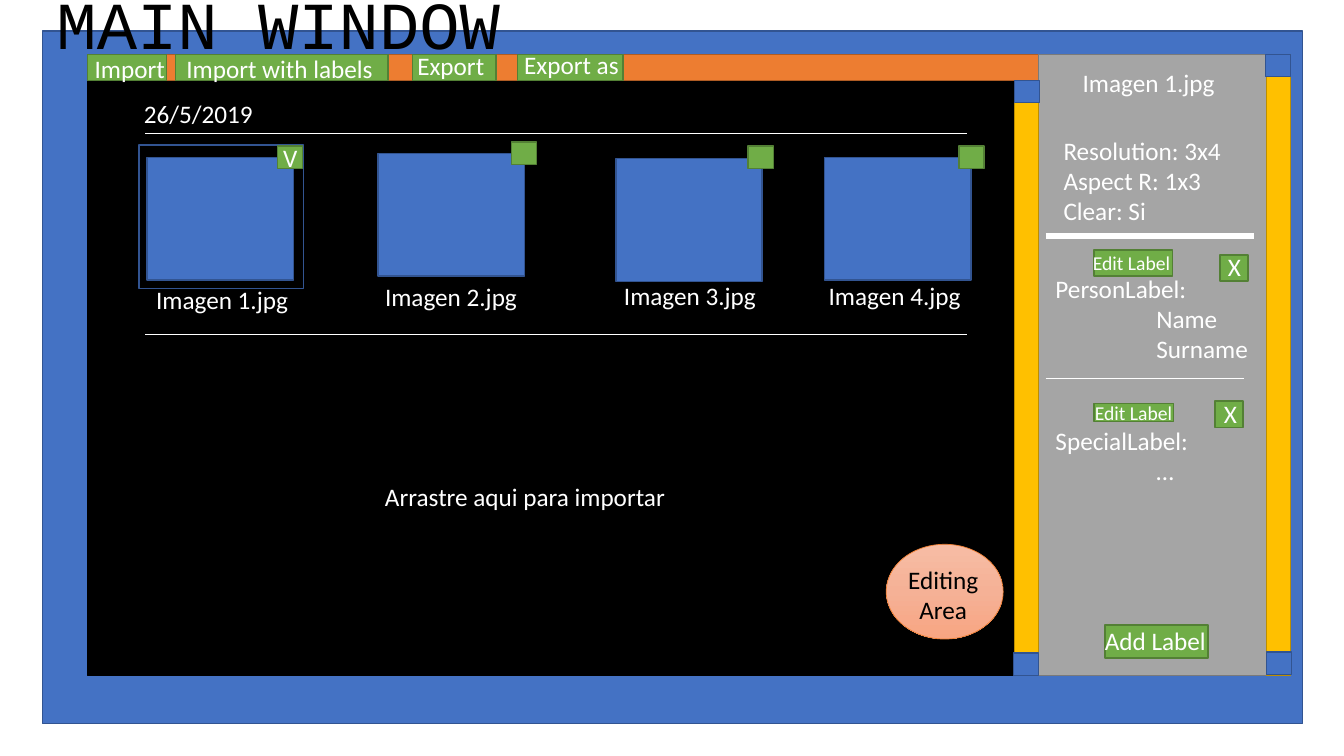
from copy import deepcopy
from dataclasses import dataclass

from lxml import etree
from pptx import Presentation, util as u
from pptx.dml.color import RGBColor
from pptx.enum import shapes, text
from pptx.oxml.ns import qn

PX = 9144  # EMU per px, 100 px to the inch


@dataclass(frozen=True)
class Tone:
    fill: str | None
    edge: str


@dataclass(frozen=True)
class Theme:
    blue: Tone = Tone("4472C4", "325491")
    black: Tone = Tone("000000", "000000")
    orange: Tone = Tone("ED7D31", "AF5C24")
    green: Tone = Tone("70AD47", "538035")
    grey: Tone = Tone("A5A5A5", "7A7A7A")
    yellow: Tone = Tone("FFC000", "BD8E00")
    selection: Tone = Tone(None, "325491")
    light: str = "FFFFFF"
    dark: str = "000000"
    bubble_edge: str = "ED7D31"
    bubble_stops: tuple = ((0, "F7BDA5"), (0.5, "F5B196"), (1, "F8A582"))
    body_font: str = "Calibri"
    title_font: str = "Courier New"
    title_size: int = 48
    body_size: int = 18
    small_size: int = 14


@dataclass(frozen=True)
class Box:
    left: int
    top: int
    width: int
    height: int

    def emu(self) -> list[int]:
        return [n * PX for n in (self.left, self.top, self.width, self.height)]


@dataclass(frozen=True)
class Line:
    words: str
    indent: int = 0
    before: int = 0


@dataclass(frozen=True)
class Button:
    words: str
    box: Box
    words_box: Box
    size: int = Theme.body_size


@dataclass(frozen=True)
class Photo:
    box: Box
    caption: str
    caption_box: Box
    tick: tuple[int, int]


THEME = Theme()
deck = Presentation()
deck.slide_width, deck.slide_height = 1333 * PX, 750 * PX
slide = deck.slides.add_slide(deck.slide_layouts[5])


def rgb(colour: str) -> RGBColor:
    return RGBColor.from_string(colour)


def add_block(box: Box, tone: Tone) -> None:
    block = slide.shapes.add_shape(shapes.MSO_SHAPE.RECTANGLE, *box.emu())
    block.shadow.inherit = False
    if tone.fill:
        block.fill.solid()
        block.fill.fore_color.rgb = rgb(tone.fill)
    else:
        block.fill.background()
    block.line.color.rgb = rgb(tone.edge)
    block.line.width = u.Pt(1)


def write(frame, lines: list[Line], size: int, colour: str, font: str, align) -> None:
    frame.word_wrap = True
    frame.auto_size = text.MSO_AUTO_SIZE.SHAPE_TO_FIT_TEXT
    frame.vertical_anchor = text.MSO_ANCHOR.TOP
    for i, line in enumerate(lines):
        para = frame.add_paragraph() if i else frame.paragraphs[0]
        para.alignment = align
        if line.indent:
            para._p.get_or_add_pPr().set("marL", str(line.indent * PX))
        if line.before:
            para.space_before = u.Pt(line.before)
        run = para.add_run()
        run.text = line.words
        run.font.name = font
        run.font.size = u.Pt(size)
        run.font.color.rgb = rgb(colour)


def add_words(box: Box, *lines: Line, size: int = THEME.body_size,
              colour: str = THEME.light, align=text.PP_ALIGN.LEFT) -> None:
    frame = slide.shapes.add_textbox(*box.emu()).text_frame
    write(frame, list(lines), size, colour, THEME.body_font, align)


def add_rule(left: int, right: int, y: int, weight: float = 0.5) -> None:
    rule = slide.shapes.add_connector(
        shapes.MSO_CONNECTOR.STRAIGHT, left * PX, y * PX, right * PX, y * PX)
    rule.line.color.rgb = rgb(THEME.light)
    rule.line.width = u.Pt(weight)
    etree.SubElement(rule._element.spPr, qn("a:effectLst"))


def add_button(button: Button) -> None:
    add_block(button.box, THEME.green)
    add_words(button.words_box, Line(button.words), size=button.size)


# Window, canvas, toolbar and side panel
add_block(Box(42, 31, 1250, 687), THEME.blue)
add_block(Box(87, 80, 943, 590), THEME.black)
add_block(Box(87, 54, 943, 26), THEME.orange)
add_block(Box(1030, 54, 227, 616), THEME.grey)

# Scroll bars with their end buttons
for track, ends in (
    (Box(1256, 54, 24, 616), ((1255, 54), (1256, 647))),
    (Box(1006, 80, 24, 590), ((1006, 80), (1005, 648))),
):
    add_block(track, THEME.yellow)
    for left, top in ends:
        add_block(Box(left, top, 25, 22), THEME.blue)

# Photo group: date, rules, thumbnails and tick boxes
add_words(Box(133, 93, 317, 40), Line("26/5/2019"))
for y in (132, 332):
    add_rule(144, 959, y)
PHOTOS = (
    Photo(Box(146, 156, 145, 122), "Imagen 1.jpg", Box(145, 277, 152, 40), (275, 145)),
    Photo(Box(375, 152, 145, 122), "Imagen 2.jpg", Box(372, 274, 155, 40), (507, 141)),
    Photo(Box(611, 157, 145, 122), "Imagen 3.jpg", Box(609, 273, 158, 40), (742, 145)),
    Photo(Box(818, 156, 145, 122), "Imagen 4.jpg", Box(812, 273, 152, 40), (951, 145)),
)
add_block(Box(138, 144, 163, 142), THEME.selection)
for photo in PHOTOS:
    add_block(photo.box, THEME.blue)
    add_words(photo.caption_box, Line(photo.caption))
    add_block(Box(*photo.tick, 25, 22), THEME.green)
add_words(Box(271, 136, 36, 40), Line("V"))
add_words(Box(372, 473, 317, 40), Line("Arrastre aqui para importar"))

# Side panel details
add_words(Box(1064, 62, 153, 40), Line("Imagen 1.jpg"))
add_words(Box(1045, 129, 203, 192), Line("Resolution: 3x4"),
          Line("Aspect R: 1x3"), Line("Clear: Si"))
add_rule(1037, 1244, 234, weight=4.5)
add_rule(1037, 1234, 375)
add_words(Box(1037, 266, 212, 283), Line("PersonLabel:"), Line("Name", indent=100),
          Line("Surname", indent=100), Line("SpecialLabel:", before=44),
          Line("…", indent=100))

# Toolbar and side panel buttons
for button in (
    Button("Import", Box(87, 54, 78, 26), Box(84, 48, 102, 40)),
    Button("Import with labels", Box(174, 54, 211, 26), Box(175, 48, 208, 40)),
    Button("Export", Box(409, 54, 83, 26), Box(404, 45, 99, 40)),
    Button("Export as", Box(513, 54, 105, 26), Box(510, 44, 135, 40)),
    Button("Add Label", Box(1096, 620, 102, 33), Box(1086, 615, 122, 40)),
    Button("X", Box(1210, 253, 28, 26), Box(1208, 244, 35, 40)),
    Button("X", Box(1205, 398, 28, 26), Box(1204, 390, 35, 40)),
    Button("Edit Label", Box(1085, 248, 78, 26), Box(1074, 244, 122, 34), THEME.small_size),
    Button("Edit Label", Box(1085, 400, 79, 18), Box(1076, 393, 122, 34), THEME.small_size),
):
    add_button(button)

# Editing area bubble
bubble = slide.shapes.add_shape(shapes.MSO_SHAPE.OVAL, *Box(879, 540, 116, 94).emu())
bubble.shadow.inherit = False
bubble.line.color.rgb = rgb(THEME.bubble_edge)
bubble.line.width = u.Pt(0.5)
bubble.fill.gradient()
bubble.fill.gradient_angle = 270
stop_list = bubble._element.spPr.find(".//" + qn("a:gsLst"))
stop_list.insert(1, deepcopy(stop_list[0]))
for stop, (position, colour) in zip(bubble.fill.gradient_stops, THEME.bubble_stops):
    stop.position = position
    stop.color.rgb = rgb(colour)
add_words(Box(890, 555, 91, 71), Line("Editing Area"), colour=THEME.dark,
          align=text.PP_ALIGN.CENTER)

# Title, in front of the window
title = slide.shapes.title
title.left, title.top, title.width, title.height = Box(46, -23, 468, 91).emu()
write(title.text_frame, [Line("MAIN WINDOW")], THEME.title_size, THEME.dark,
      THEME.title_font, text.PP_ALIGN.LEFT)
title._element.getparent().append(title._element)

deck.save("out.pptx")
